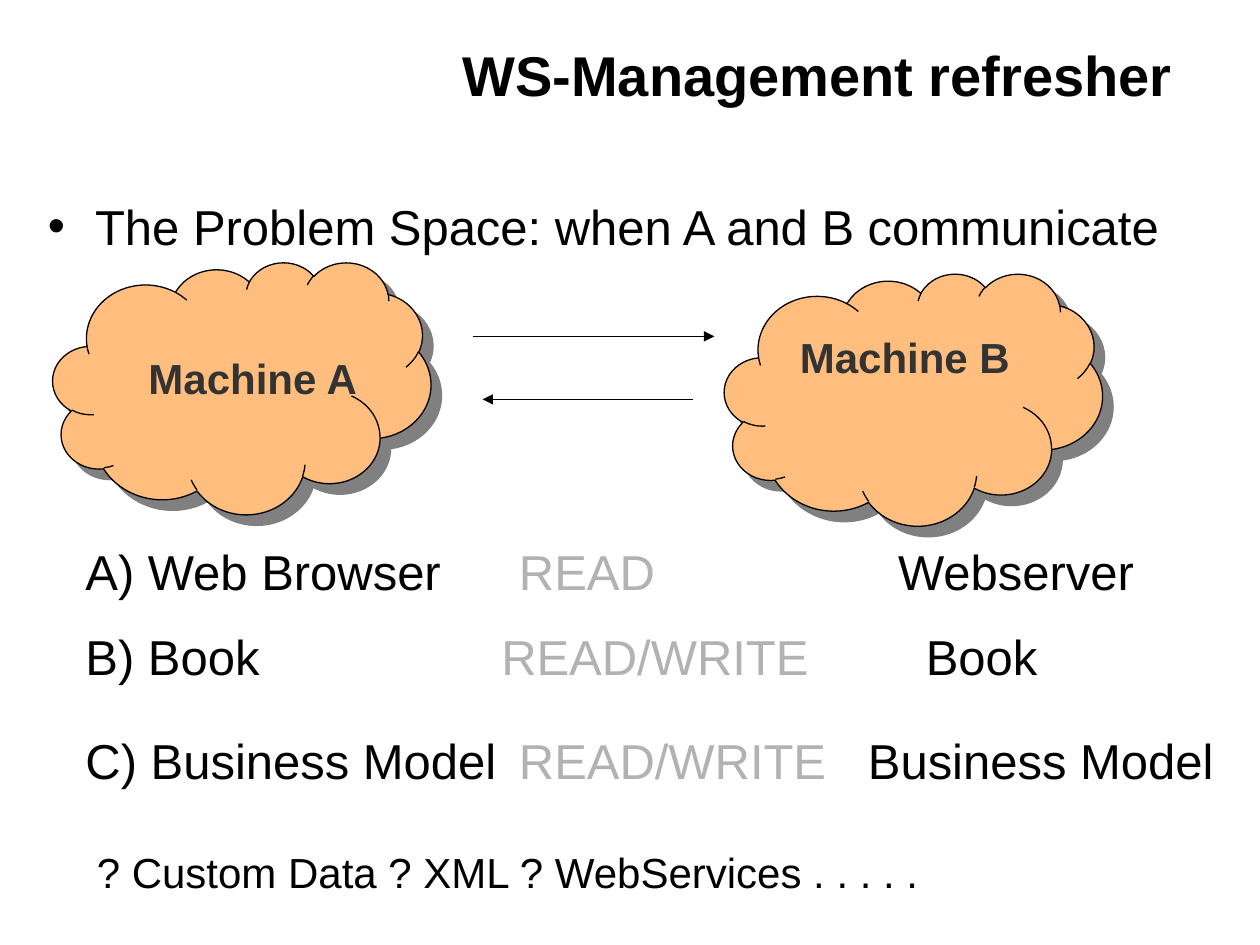
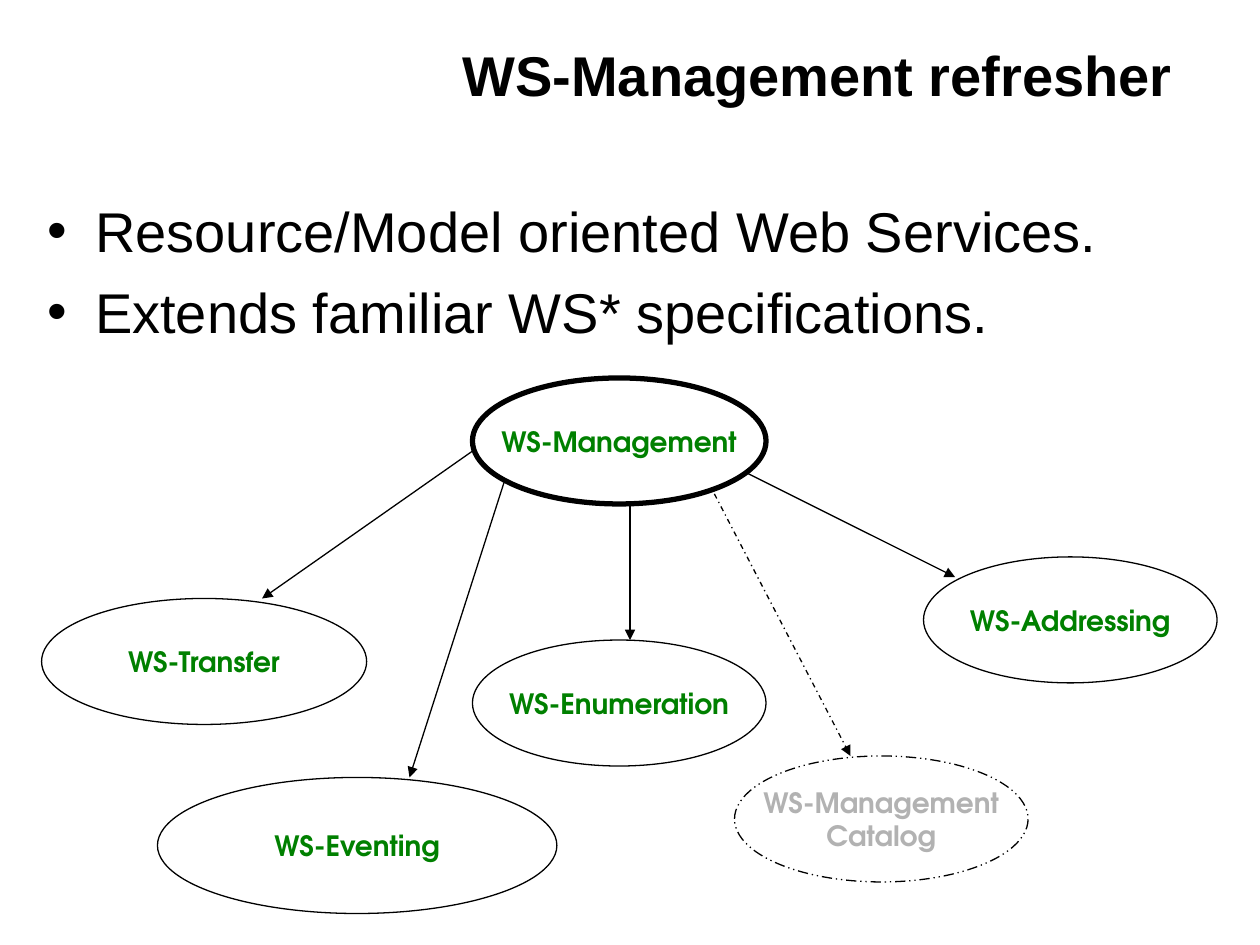
from pptx import Presentation
from pptx.dml.color import RGBColor
from pptx.enum.dml import MSO_LINE
from pptx.enum.shapes import MSO_CONNECTOR, MSO_SHAPE
from pptx.enum.text import MSO_ANCHOR, MSO_AUTO_SIZE, PP_ALIGN
from pptx.oxml.ns import qn
from pptx.util import Inches, Pt
from lxml.etree import SubElement

COLORS = {
    "black": "000000",
    "white": "FFFFFF",
    "cloud": "FFBE7D",
    "shadow": "808080",
    "machine": "333333",
    "muted": "B2B2B2",
    "green": "008000",
}
TEXT_FONT = "Arial"
NODE_FONT = "TeX Gyre Adventor"
TITLE = "WS-Management refresher"


def color(name):
    return RGBColor.from_string(COLORS[name])


def place(shape, left, top, width, height):
    shape.left, shape.top = Inches(left), Inches(top)
    shape.width, shape.height = Inches(width), Inches(height)


def style_font(font, size, color_name="black", bold=False, name=TEXT_FONT):
    font.name, font.size, font.bold = name, Pt(size), bold
    font.color.rgb = color(color_name)


def style_line(line, width=0.75, dash=None):
    line.color.rgb = color("black")
    line.width = Pt(width)
    if dash is not None:
        line.dash_style = dash


def add_slide(presentation, bullets, size, space_before, body_box):
    slide = presentation.slides.add_slide(presentation.slide_layouts[1])
    title = slide.shapes.title
    place(title, 2.98, 0, 7.02, 1.17)
    title.text_frame.text = TITLE
    title.text_frame.vertical_anchor = MSO_ANCHOR.MIDDLE
    title.text_frame.paragraphs[0].alignment = PP_ALIGN.CENTER
    style_font(title.text_frame.paragraphs[0].font, 32, bold=True)

    body = slide.placeholders[1]
    place(body, *body_box)
    body.text_frame.text = "\n".join(bullets)
    body.text_frame.auto_size = MSO_AUTO_SIZE.NONE
    for paragraph in body.text_frame.paragraphs:
        paragraph.space_before = Pt(space_before)
        style_font(paragraph.font, size)
    return slide


def add_text(slide, text, box, size, color_name="black", bold=False, space_before=0):
    shape = slide.shapes.add_textbox(*map(Inches, box))
    shape.text_frame.word_wrap = True
    paragraph = shape.text_frame.paragraphs[0]
    paragraph.text = text
    paragraph.space_before = Pt(space_before)
    style_font(paragraph.font, size, color_name, bold)
    return paragraph


def add_example(slide, top, columns, tab_stops):
    paragraph = add_text(slide, "", (0.58, top, 9.25, 0.57), 28, space_before=7)
    for index, text in enumerate(columns):
        run = paragraph.add_run()
        run.text = "\t" + text if index else text
        style_font(run.font, 28, "muted" if index == 1 else "black")
    add_tab_stops(paragraph, tab_stops)


def add_tab_stops(paragraph, positions):
    properties = paragraph._p.get_or_add_pPr()
    tab_list = SubElement(properties, qn("a:tabLst"))
    for position in positions:
        SubElement(tab_list, qn("a:tab"), pos=str(Inches(position)), algn="l")
    properties.find(qn("a:defRPr")).addprevious(tab_list)


def add_preset(slide, preset, box, fill, line_width=0.75, dash=None):
    shape = slide.shapes.add_shape(preset, *map(Inches, box))
    shape.shadow.inherit = False
    shape.fill.solid()
    shape.fill.fore_color.rgb = color(fill)
    style_line(shape.line, line_width, dash)
    return shape


def add_machine(slide, name, left, top, label_left, label_top):
    cloud = add_preset(slide, MSO_SHAPE.CLOUD, (left, top, 3, 2), "cloud")
    effects = cloud._element.spPr.find(qn("a:effectLst"))
    shadow = SubElement(effects, qn("a:outerShdw"), dist=str(Pt(8.5)),
                        dir=str(45 * 60000), algn="ctr", rotWithShape="0")
    SubElement(shadow, qn("a:srgbClr"), val=COLORS["shadow"])
    add_text(slide, name, (label_left, label_top, 2, 1.11), 24, "machine", True, 7.1)


def add_node(slide, text, box, color_name="green", line_width=0.75, dash=None):
    node = add_preset(slide, MSO_SHAPE.OVAL, box, "white", line_width, dash)
    frame = node.text_frame
    frame.text = text
    frame.word_wrap = False
    frame.vertical_anchor = MSO_ANCHOR.MIDDLE
    for paragraph in frame.paragraphs:
        paragraph.alignment = PP_ALIGN.CENTER
        style_font(paragraph.font, 16, color_name, True, NODE_FONT)


def add_arrow(slide, start, end, dash=None):
    arrow = slide.shapes.add_connector(MSO_CONNECTOR.STRAIGHT, *map(Inches, start + end))
    style_line(arrow.line, dash=dash)
    SubElement(arrow.line._get_or_add_ln(), qn("a:tailEnd"), type="triangle")
    SubElement(arrow._element.spPr, qn("a:effectLst"))


def build_problem_space(presentation):
    slide = add_slide(presentation, ["The Problem Space: when A and B communicate"],
                      28, 7, (0.28, 1.51, 9.22, 0.57))
    add_machine(slide, "Machine A", 0.42, 2.08, 1.08, 2.75)
    add_machine(slide, "Machine B", 5.75, 2.17, 6.25, 2.58)
    add_arrow(slide, (3.75, 2.67), (5.67, 2.67))
    add_arrow(slide, (5.5, 3.17), (3.83, 3.17))
    add_example(slide, 4.25, ("A) Web Browser", "READ", "Webserver"), (3.44, 6.45))
    add_example(slide, 4.92, ("B) Book", "READ/WRITE", "Book"), (3.3, 6.67))
    add_example(slide, 5.75, ("C) Business Model", "READ/WRITE", "Business Model"),
                (3.44, 6.21))
    add_text(slide, "? Custom Data ? XML ? WebServices . . . . .",
             (0.67, 6.67, 8.33, 0.5), 24)


def build_specifications(presentation):
    slide = add_slide(presentation, ["Resource/Model oriented Web Services.",
                                     "Extends familiar WS* specifications."],
                      32, 8, (0.28, 1.51, 9.26, 5.7))
    add_node(slide, "WS-Management", (3.75, 3, 2.33, 1), line_width=3)
    for text, box in (
        ("WS-Transfer", (0.33, 4.75, 2.58, 1)),
        ("WS-Enumeration", (3.75, 5.08, 2.33, 1)),
        ("WS-Eventing", (1.25, 6.17, 3.17, 1.08)),
        ("WS-Addressing", (7.33, 4.42, 2.33, 1)),
    ):
        add_node(slide, text, box)
    add_node(slide, "WS-Management\nCatalog", (5.83, 6, 2.33, 1), "muted",
             dash=MSO_LINE.DASH_DOT_DOT)
    for start, end in (
        ((3.75, 3.58), (2.08, 4.75)),
        ((5, 4), (5, 5.08)),
        ((5.92, 3.75), (7.58, 4.58)),
        ((4, 3.83), (3.25, 6.17)),
    ):
        add_arrow(slide, start, end)
    add_arrow(slide, (5.67, 3.92), (6.75, 6), MSO_LINE.DASH_DOT)


def main():
    presentation = Presentation()
    presentation.slide_width, presentation.slide_height = Inches(10), Inches(7.5)
    build_problem_space(presentation)
    build_specifications(presentation)
    presentation.save("out.pptx")


if __name__ == "__main__":
    main()
